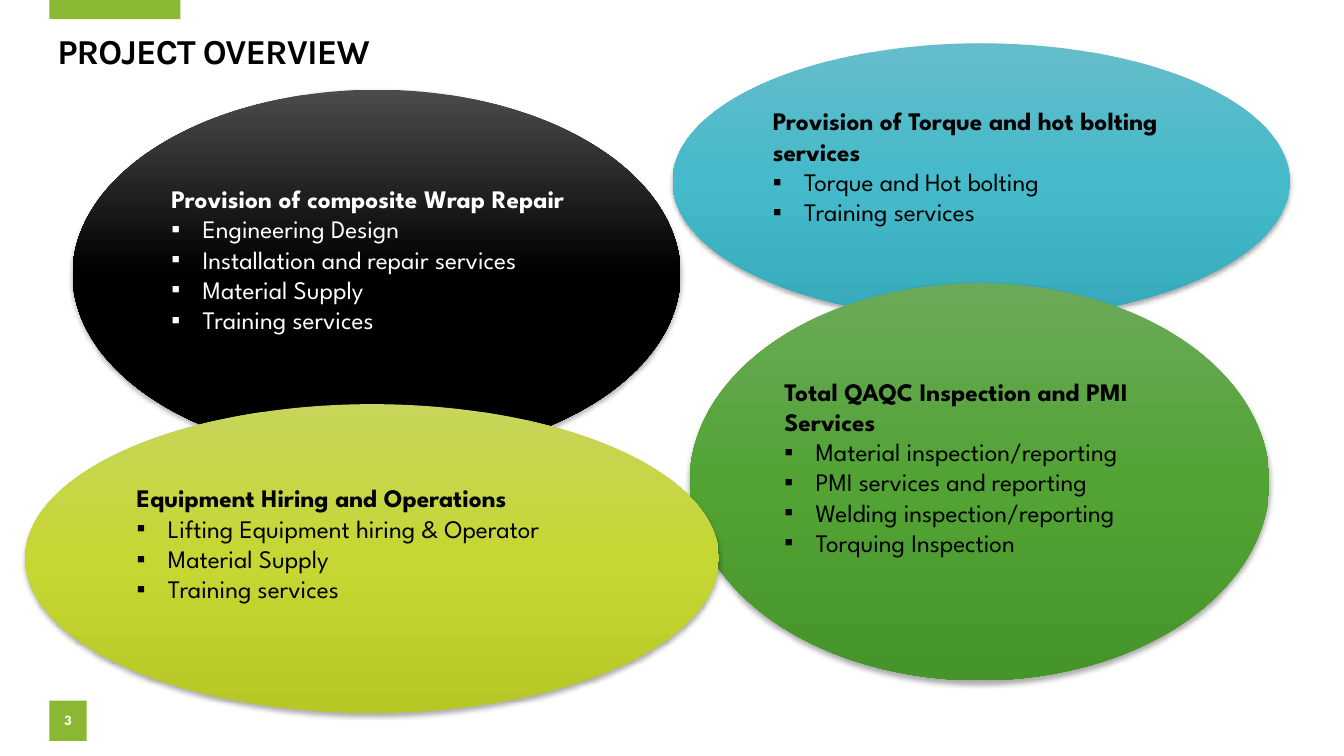
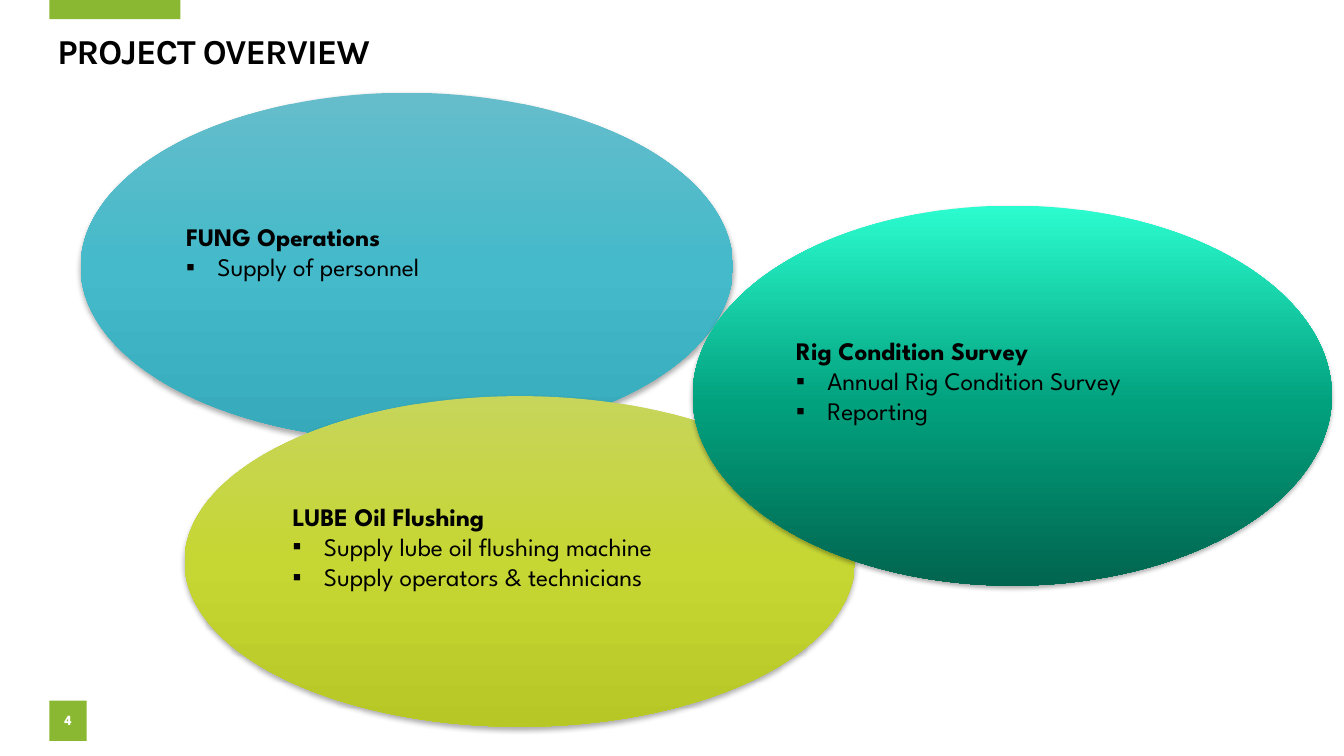
from copy import deepcopy

from lxml import etree
from pptx import Presentation
from pptx.dml.color import RGBColor
from pptx.enum.shapes import MSO_SHAPE
from pptx.enum.text import MSO_ANCHOR, PP_ALIGN
from pptx.oxml import parse_xml
from pptx.oxml.ns import qn
from pptx.util import Inches, Pt

RECTANGLE = MSO_SHAPE.RECTANGLE
ELLIPSE = MSO_SHAPE.OVAL
MIDDLE = MSO_ANCHOR.MIDDLE
LEFT = PP_ALIGN.LEFT
CENTER = PP_ALIGN.CENTER

COLORS = {"accent": "8AB833", "dark": "000000", "light": "FFFFFF"}
GRADIENTS = {
    "blue": ("65BDCB", "44BACA", "36AABA"),
    "black": ("4B4B4B", "000000", "000000"),
    "green": ("6BAA59", "52A334", "46952A"),
    "lime": ("C7D55B", "C6D633", "B7C725"),
    "teal": ("2BFCCF", "02A17E", "01654F"),
}
MIDPOINTS = {"teal": 0.52}

FRAME = {"word_wrap": True, "vertical_anchor": MIDDLE}
TITLE = {"name": "Karla", "size": Pt(25), "bold": True}
NUMBER = {"name": "League Spartan", "size": Pt(10), "bold": True}
HEADING = {"name": "League Spartan", "size": Pt(18), "bold": True}
ITEM = {**HEADING, "bold": False}

SHADOW = (
    '<a:outerShdw xmlns:a="http://schemas.openxmlformats.org/drawingml/2006/main" '
    'blurRad="44450" dist="27940" dir="5400000" algn="ctr" rotWithShape="0">'
    '<a:srgbClr val="000000"><a:alpha val="32000"/></a:srgbClr></a:outerShdw>'
)

OVERVIEW = [
    (3, [
        ("blue", "dark", (6.67, 0.43, 6.12, 2.74),
         "Provision of Torque and hot bolting services",
         ["Torque and Hot bolting", "Training services"]),
        ("black", "light", (0.72, 0.89, 6.03, 3.66),
         "Provision of composite Wrap Repair",
         ["Engineering Design", "Installation and repair services",
          "Material Supply", "Training services"]),
        ("green", "dark", (6.84, 2.81, 5.75, 3.94),
         "Total QAQC Inspection and PMI Services",
         ["Material inspection/reporting", "PMI services and reporting",
          "Welding inspection/reporting", "Torquing Inspection"]),
        ("lime", "dark", (0.25, 4.01, 6.88, 3.06),
         "Equipment Hiring and Operations",
         ["Lifting Equipment hiring & Operator", "Material Supply",
          "Training services"]),
    ]),
    (4, [
        ("blue", "dark", (0.8, 0.92, 6.47, 3.45),
         "FUNG Operations", ["Supply of personnel"]),
        ("lime", "dark", (1.83, 3.93, 6.65, 3.28),
         "LUBE Oil Flushing",
         ["Supply lube oil flushing machine", "Supply operators & technicians"]),
        ("teal", "dark", (6.87, 2.04, 6.34, 3.77),
         "Rig Condition Survey",
         ["Annual Rig Condition Survey", "Reporting"]),
    ]),
]


def apply(target, values):
    for name, value in values.items():
        setattr(target, name, value)


class OverviewDeck:
    def __init__(self):
        self.deck = Presentation()
        apply(self.deck, {"slide_width": Inches(13.33), "slide_height": Inches(7.5)})
        self.page = None

    def add_page(self, number, title):
        self.page = self.deck.slides.add_slide(self.deck.slide_layouts[6])
        self.band((0.49, 0, 1.3, 0.19))
        self.page_number(number)
        self.title(title)

    def shape(self, kind, place):
        shape = self.page.shapes.add_shape(kind, *map(Inches, place))
        shape.shadow.inherit = False
        shape.line.fill.background()
        return shape

    def band(self, place):
        band = self.shape(RECTANGLE, place)
        band.fill.solid()
        band.fill.fore_color.rgb = RGBColor.from_string(COLORS["accent"])
        return band

    def add_text(self, para, text, font, color, **layout):
        apply(para, layout)
        span = para.add_run()
        span.text = text
        apply(span.font, font)
        span.font.color.rgb = RGBColor.from_string(COLORS[color])
        return span

    def page_number(self, number):
        frame = self.band((0.49, 6.95, 0.37, 0.4)).text_frame
        apply(frame, {**FRAME, "margin_left": 0, "margin_right": 0})
        self.add_text(frame.paragraphs[0], str(number), NUMBER, "light",
                      alignment=CENTER, line_spacing=0.9, space_before=Pt(10))

    def title(self, text):
        box = self.page.shapes.add_textbox(*map(Inches, (0.47, 0.3, 12.4, 0.46)))
        apply(box.text_frame, FRAME)
        span = self.add_text(box.text_frame.paragraphs[0], text, TITLE, "dark",
                             line_spacing=0.9)
        span._r.get_or_add_rPr().set("spc", "-60")

    def gradient(self, shape, name):
        fill = shape.fill
        fill.gradient()
        fill.gradient_angle = 270
        stops = shape.element.spPr.find(".//" + qn("a:gsLst"))
        stops.insert(1, deepcopy(stops[0]))
        positions = (0, MIDPOINTS.get(name, 0.5), 1)
        for stop, position, color in zip(fill.gradient_stops, positions, GRADIENTS[name]):
            stop.position = position
            stop.color.rgb = RGBColor.from_string(color)

    def bullet(self, para):
        properties = para._p.get_or_add_pPr()
        properties.set("marL", str(Inches(0.31)))
        properties.set("indent", str(-Inches(0.31)))
        etree.SubElement(properties, qn("a:buFont"), typeface="Arial")
        etree.SubElement(properties, qn("a:buChar"), char="▪")

    def service(self, gradient, color, place, heading, items):
        ellipse = self.shape(ELLIPSE, place)
        self.gradient(ellipse, gradient)
        ellipse.element.spPr.find(qn("a:effectLst")).append(parse_xml(SHADOW))
        frame = ellipse.text_frame
        apply(frame, {**FRAME, "margin_bottom": Inches(0.35)})
        self.add_text(frame.paragraphs[0], heading, HEADING, color, alignment=LEFT)
        for item in items:
            para = frame.add_paragraph()
            self.add_text(para, item, ITEM, color, alignment=LEFT)
            self.bullet(para)

    def save(self):
        self.deck.save("out.pptx")


def main():
    overview = OverviewDeck()
    for number, services in OVERVIEW:
        overview.add_page(number, "PROJECT OVERVIEW")
        for service in services:
            overview.service(*service)
    overview.save()


if __name__ == "__main__":
    main()
